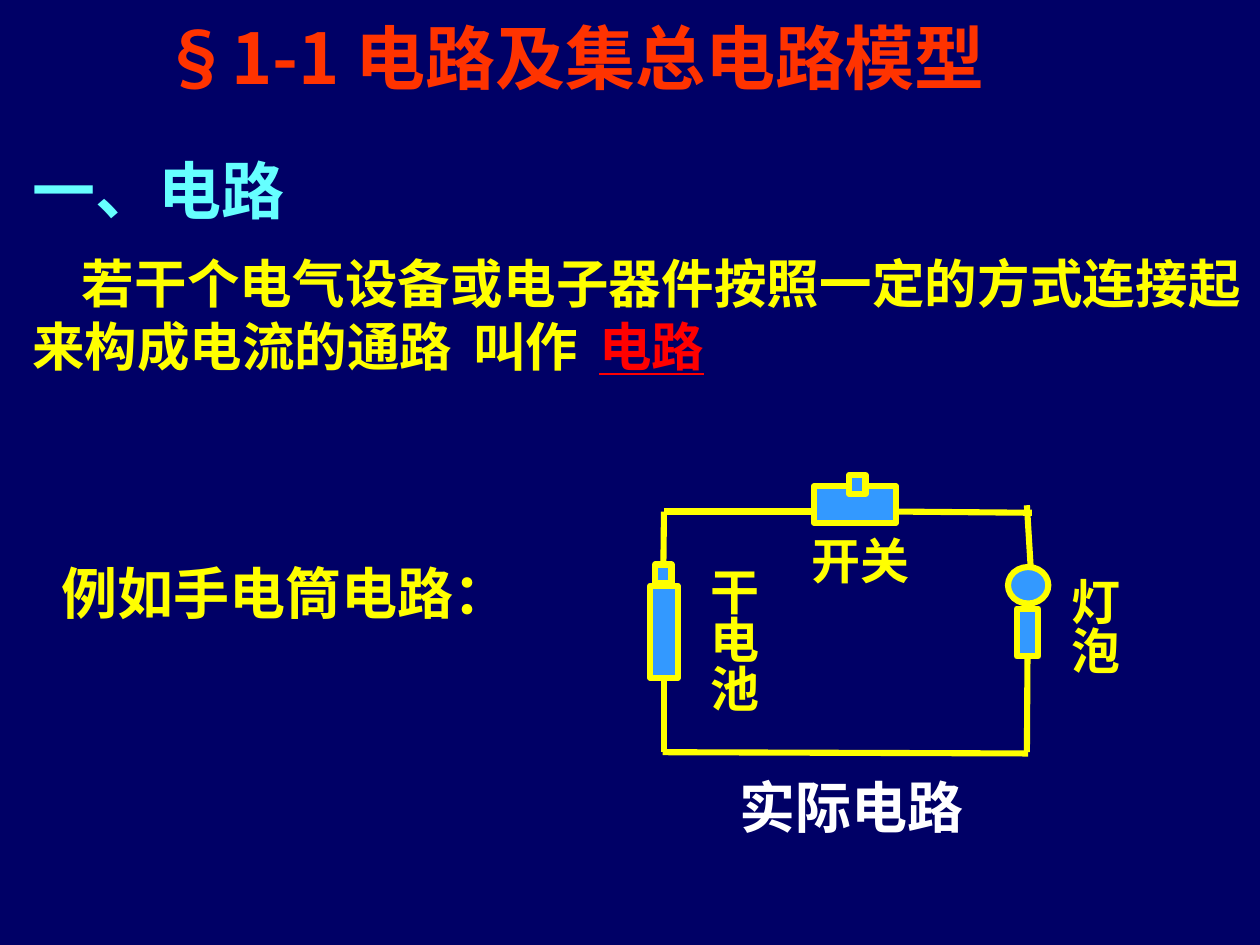
"""Build the slide that introduces the electric circuit with a torch example."""
from dataclasses import dataclass

from lxml import etree
from pptx import Presentation
from pptx.dml.color import RGBColor
from pptx.enum.shapes import MSO_CONNECTOR, MSO_SHAPE
from pptx.enum.text import MSO_ANCHOR, MSO_AUTO_SIZE, PP_ALIGN
from pptx.oxml.ns import qn
from pptx.util import Inches, Pt

STRAIGHT = MSO_CONNECTOR.STRAIGHT
RECT, OVAL = MSO_SHAPE.RECTANGLE, MSO_SHAPE.OVAL
LEFT, JUSTIFY = PP_ALIGN.LEFT, PP_ALIGN.JUSTIFY
TOP, BOTTOM = MSO_ANCHOR.TOP, MSO_ANCHOR.BOTTOM
NO_AUTOFIT = MSO_AUTO_SIZE.NONE
TOP_SIDE, BOTTOM_SIDE = 0, 2
TITLE_ONLY = 5
CJK = "Noto Sans CJK SC"
WIRE_WIDTH = Pt(3.5)
INSETS = (0.1, 0.05)
COLORS = {
    "background": "000066",
    "title": "FF3300",
    "heading": "66FFFF",
    "text": "FFFF00",
    "term": "FF0000",
    "caption": "FFFFFF",
    "component": "3399FF",
}


@dataclass(frozen=True)
class Label:
    text: str
    box: tuple[float, float, float, float]
    size: int
    font: str = "Arial"
    color: str = "text"
    insets: tuple[float, float] = INSETS
    vertical: bool = False


@dataclass(frozen=True)
class Component:
    name: str
    box: tuple[float, float, float, float]
    outline: MSO_SHAPE = RECT


@dataclass(frozen=True)
class Wire:
    start: tuple[float, float]
    end: tuple[float, float]
    joins: str = ""
    side: int = TOP_SIDE


COMPONENTS = [
    Component("battery", (5.16, 4.65, 0.22, 0.73)),
    Component("battery terminal", (5.2, 4.48, 0.13, 0.15)),
    Component("switch", (6.46, 3.86, 0.65, 0.29)),
    Component("switch button", (6.74, 3.77, 0.13, 0.15)),
    Component("bulb", (8, 4.5, 0.32, 0.29), OVAL),
    Component("bulb socket", (8.07, 4.83, 0.17, 0.38)),
]
WIRES = [
    Wire((5.27, 4.06), (6.46, 4.06)),
    Wire((7.11, 4.06), (8.19, 4.07)),
    Wire((5.26, 5.97), (8.16, 5.98)),
    Wire((8.15, 4.01), (8.18, 4.5)),
    Wire((5.27, 4.06), (5.27, 4.48), "battery terminal", TOP_SIDE),
    Wire((5.27, 5.97), (5.27, 5.38), "battery", BOTTOM_SIDE),
    Wire((8.15, 5.97), (8.15, 5.21), "bulb socket", BOTTOM_SIDE),
]
LABELS = [
    Label("开关", (6.34, 4.16, 1.07, 0.57), 28),
    Label("灯泡", (8.31, 4.48, 0.66, 1.21), 28, insets=(0.05, 0.1), vertical=True),
    Label("干电池", (5.44, 4.4, 0.66, 2.06), 28, insets=(0.05, 0.1), vertical=True),
    Label("实际电路", (5.87, 6.13, 2.68, 0.53), 32, color="caption", insets=(0, 0)),
    Label("例如手电筒电路：", (0.39, 4.38, 8.27, 0.64), 32, "Roboto"),
]
TITLE_BOX = (1.18, -0.19, 8.7, 1.02)
HEADING_BOX = (0.16, 1.15, 2.68, 0.7)
DEFINITION_BOX = (0.16, 1.94, 9.8, 1.1)
DEFINITION = "若干个电气设备或电子器件按照一定的方式连接起来构成电流的通路\t叫作\t"
DEFINITION_INDENT = 0.39
DEFINITION_TABS = (3.61, 4.64)


def rgb(name: str) -> RGBColor:
    return RGBColor.from_string(COLORS[name])


def style_font(font, size: int, name: str, color: str) -> None:
    font.size, font.bold, font.name = Pt(size), True, name
    font.color.rgb = rgb(color)


def style_frame(frame, insets=INSETS, anchor=TOP) -> None:
    frame.word_wrap = True
    frame.auto_size = NO_AUTOFIT
    frame.vertical_anchor = anchor
    frame.margin_left = frame.margin_right = Inches(insets[0])
    frame.margin_top = frame.margin_bottom = Inches(insets[1])


def add_text_frame(slide, box, insets=INSETS):
    frame = slide.shapes.add_textbox(*map(Inches, box)).text_frame
    style_frame(frame, insets)
    return frame


def add_label(slide, label: Label) -> None:
    frame = add_text_frame(slide, label.box, label.insets)
    if label.vertical:
        frame._txBody.bodyPr.set("vert", "eaVert")
    paragraph = frame.paragraphs[0]
    paragraph.text = label.text
    style_font(paragraph.font, label.size, label.font, label.color)


def add_title(slide) -> None:
    title = slide.shapes.title
    title.left, title.top, title.width, title.height = map(Inches, TITLE_BOX)
    style_frame(title.text_frame, anchor=BOTTOM)
    paragraph = title.text_frame.paragraphs[0]
    paragraph.text = "§1-1 电路及集总电路模型"
    paragraph.alignment = LEFT
    style_font(paragraph.font, 40, CJK, "title")


def add_heading(slide) -> None:
    paragraph = add_text_frame(slide, HEADING_BOX).paragraphs[0]
    for text, font in (("一、", "Roboto"), ("电路", CJK)):
        run = paragraph.add_run()
        run.text = text
        style_font(run.font, 36, font, "heading")


def add_definition(slide) -> None:
    paragraph = add_text_frame(slide, DEFINITION_BOX).paragraphs[0]
    paragraph.alignment = JUSTIFY
    properties = paragraph._p.get_or_add_pPr()
    properties.set("marL", "0")
    properties.set("indent", str(Inches(DEFINITION_INDENT)))
    tabs = etree.SubElement(properties, qn("a:tabLst"))
    for position in DEFINITION_TABS:
        etree.SubElement(tabs, qn("a:tab"), pos=str(Inches(position)), algn="l")
    for text, color in ((DEFINITION, "text"), ("电路", "term")):
        run = paragraph.add_run()
        run.text = text
        style_font(run.font, 30, CJK, color)
        run.font.underline = color == "term"


def add_component(slide, component: Component):
    shape = slide.shapes.add_shape(component.outline, *map(Inches, component.box))
    shape.shadow.inherit = False
    shape.fill.solid()
    shape.fill.fore_color.rgb = rgb("component")
    shape.line.color.rgb = rgb("text")
    shape.line.width = WIRE_WIDTH
    return shape


def add_wire(slide, wire: Wire, components: dict) -> None:
    connector = slide.shapes.add_connector(STRAIGHT, *map(Inches, wire.start + wire.end))
    connector.line.color.rgb = rgb("text")
    connector.line.width = WIRE_WIDTH
    etree.SubElement(connector._element.spPr, qn("a:effectLst"))
    if wire.joins:
        connector.end_connect(components[wire.joins], wire.side)


def main() -> None:
    deck = Presentation()
    deck.slide_width, deck.slide_height = Inches(10), Inches(7.5)
    slide = deck.slides.add_slide(deck.slide_layouts[TITLE_ONLY])
    slide.background.fill.solid()
    slide.background.fill.fore_color.rgb = rgb("background")
    add_title(slide)
    add_heading(slide)
    add_definition(slide)
    components = {item.name: add_component(slide, item) for item in COMPONENTS}
    for wire in WIRES:
        add_wire(slide, wire, components)
    for label in LABELS:
        add_label(slide, label)
    deck.save("out.pptx")


if __name__ == "__main__":
    main()
